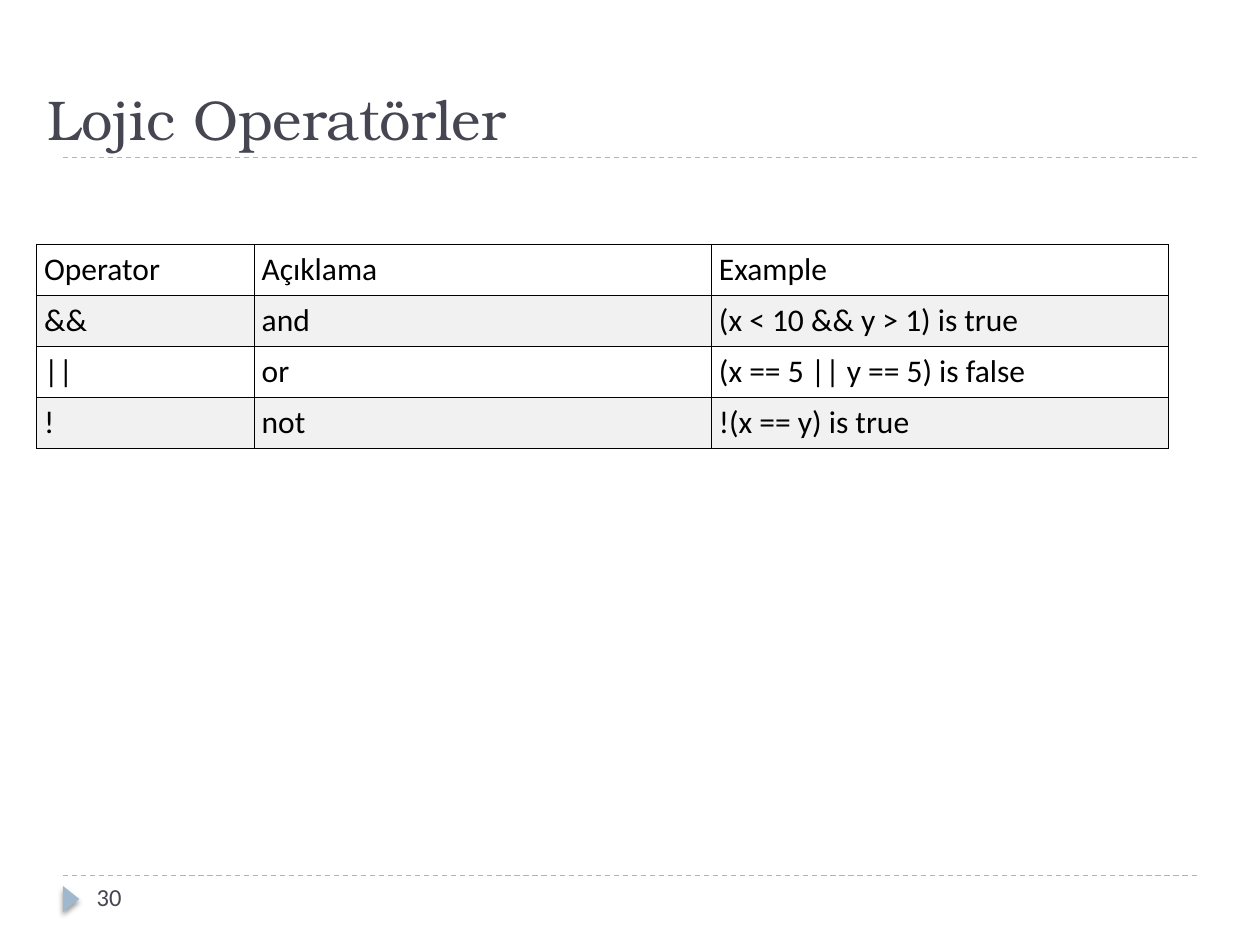
from pptx import Presentation
from pptx.dml.color import RGBColor
from pptx.enum.dml import MSO_LINE
from pptx.enum.shapes import MSO_CONNECTOR as CONN, MSO_SHAPE as SHAPE
from pptx.enum.text import MSO_ANCHOR as ANCHOR
from pptx.oxml import parse_xml
from pptx.oxml.ns import nsdecls
from pptx.util import Pt

BLUE = RGBColor(0x9F, 0xB8, 0xCD)
SLATE = RGBColor(0x46, 0x46, 0x53)
BLACK = RGBColor(0, 0, 0)
WHITE = RGBColor(0xFF, 0xFF, 0xFF)
GRAY = RGBColor(0xF1, 0xF1, 0xF1)
NS = nsdecls("a")


def style(frame, font, size, color):
    run = frame.paragraphs[0].runs[0]
    run.font.name = font
    run.font.size = Pt(size)
    run.font.color.rgb = color


deck = Presentation()
deck.slide_width, deck.slide_height = Pt(720), Pt(540)
slide = deck.slides.add_slide(deck.slide_layouts[6])
shapes = slide.shapes

for y in (500.4, 90):
    rule = shapes.add_connector(CONN.STRAIGHT, Pt(36), Pt(y), Pt(684), Pt(y))
    rule.line.color.rgb = BLUE
    rule.line.width = Pt(0.75)
    rule.line.dash_style = MSO_LINE.DASH
    rule._element.spPr.append(parse_xml(f"<a:effectLst {NS}/>"))

mark = shapes.add_shape(SHAPE.ISOSCELES_TRIANGLE, Pt(33.1), Pt(509), Pt(15), Pt(9.4))
mark.rotation = 90
mark.fill.solid()
mark.fill.fore_color.rgb = BLUE
mark.line.fill.background()
mark.shadow.inherit = False
mark._element.spPr[-1].append(parse_xml(
    f'<a:outerShdw {NS} blurRad="{Pt(3)}" dist="{Pt(2)}" dir="5400000" rotWithShape="0">'
    '<a:srgbClr val="000000"><a:alpha val="40000"/></a:srgbClr></a:outerShdw>'))

labels = [
    ("Lojic Operatörler", (20.2, 12.2, 648, 77.8), ANCHOR.BOTTOM, "TeX Gyre Bonum", 32),
    ("30", (48.2, 500.4, 156, 28.8), ANCHOR.TOP, "Calibri", 14),
]
for text, place, anchor, font, size in labels:
    frame = shapes.add_textbox(*map(Pt, place)).text_frame
    frame.word_wrap = True
    frame.vertical_anchor = anchor
    frame.text = text
    style(frame, font, size, SLATE)

rows = [
    ("Operator", "Açıklama", "Example"),
    ("&&", "and", "(x < 10 && y > 1) is true"),
    ("||", "or", "(x == 5 || y == 5) is false"),
    ("!", "not", "!(x == y) is true"),
]
widths = (124.4, 261.3, 261.3)
high = 29.15
grid = shapes.add_table(len(rows), len(widths), Pt(20.9), Pt(139.6),
                        Pt(sum(widths)), Pt(high * len(rows))).table
grid.first_row = grid.horz_banding = False
for col, width in zip(grid.columns, widths):
    col.width = Pt(width)
for r, row in enumerate(rows):
    grid.rows[r].height = Pt(high)
    for c, text in enumerate(row):
        cell = grid.cell(r, c)
        cell.margin_left = cell.margin_right = Pt(4.3)
        cell.margin_top = cell.margin_bottom = Pt(3.6)
        cell.text_frame.text = text
        style(cell.text_frame, "Calibri", 18, BLACK)
        for side in "LRTB":
            cell._tc.get_or_add_tcPr().append(parse_xml(
                f'<a:ln{side} {NS} w="{Pt(0.75)}"><a:solidFill>'
                f'<a:srgbClr val="{BLACK}"/></a:solidFill></a:ln{side}>'))
        cell.fill.solid()
        cell.fill.fore_color.rgb = GRAY if r % 2 else WHITE

deck.save("out.pptx")
